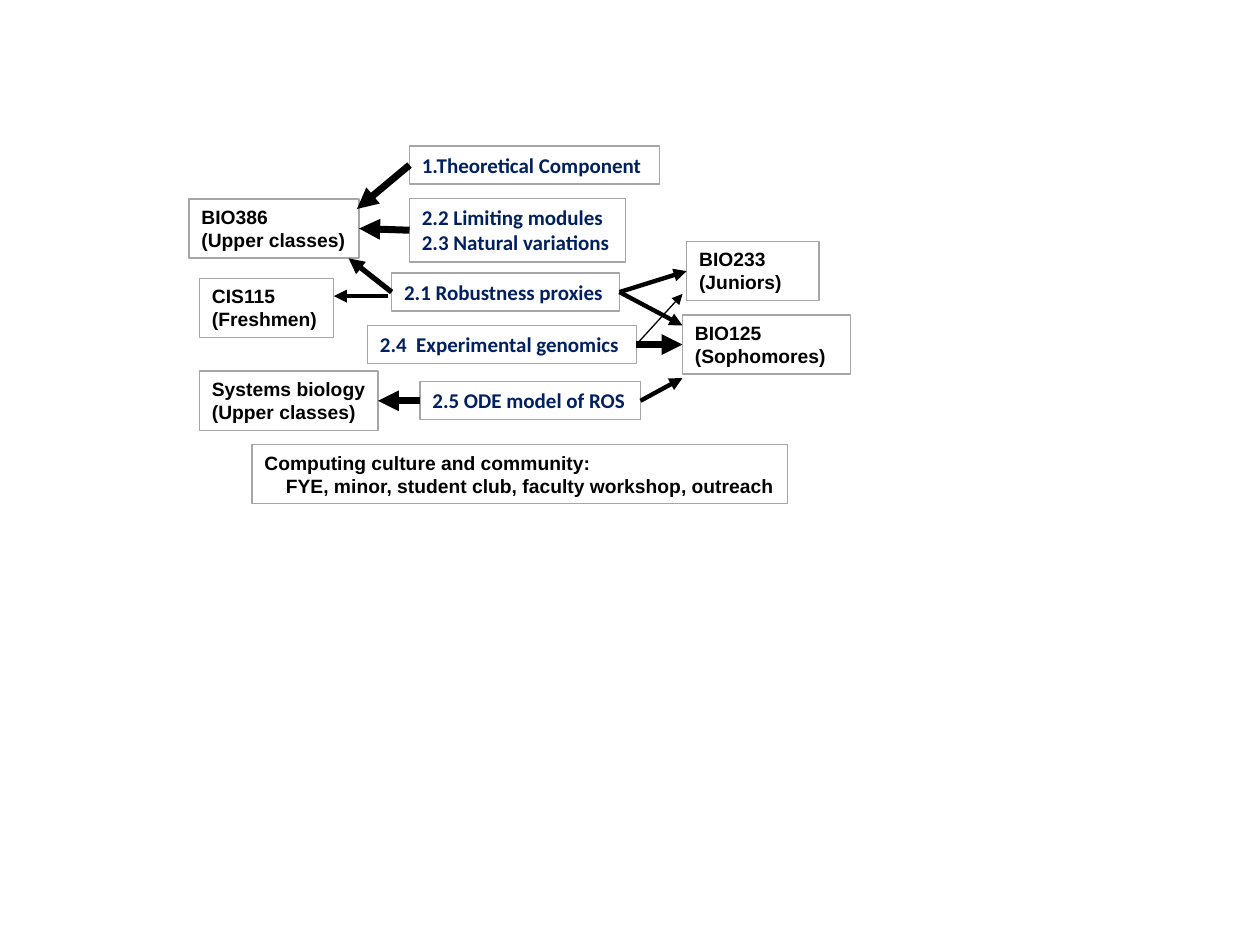
import dataclasses

import pptx
import pptx.dml.color
import pptx.enum.shapes
import pptx.enum.text
import pptx.oxml
import pptx.oxml.ns
import pptx.util


@dataclasses.dataclass(frozen=True)
class Theme:
    component_font: str = "Calibri"
    component_size: float = 12
    component_color: str = "002060"
    course_font: str = "Arial"
    course_size: float = 11
    ink: str = "000000"
    border: str = "A6A6A6"
    border_width: float = 0.75
    thin: float = 0.75
    medium: float = 2.5
    strong: float = 3
    heavy: float = 4


@dataclasses.dataclass(frozen=True)
class Box:
    col: float
    row: float
    cols: float
    rows: float

    @property
    def left(self):
        return self.col, self.row + self.rows / 2

    @property
    def right(self):
        return self.col + self.cols, self.row + self.rows / 2


class CurriculumMap:
    """Draws on a grid of 120 columns by 90 rows."""
    COURSE_ROWS = 5.64
    LINE_ROWS = 2.42
    PADDING_ROWS = 1.22

    def __init__(self, slide, theme, slide_width):
        self.slide = slide
        self.theme = theme
        self.cell = slide_width / 120

    def grid(self, *counts):
        return [pptx.util.Emu(round(count * self.cell)) for count in counts]

    def color(self, value):
        return pptx.dml.color.RGBColor.from_string(value)

    def box(self, area, lines, font, size, color, wrap, indent=0):
        """Bordered text; indent, in columns, applies after the first line."""
        label = self.slide.shapes.add_textbox(
            *self.grid(area.col, area.row, area.cols, area.rows))
        label.line.color.rgb = self.color(self.theme.border)
        label.line.width = pptx.util.Pt(self.theme.border_width)
        frame = label.text_frame
        frame.word_wrap = wrap
        frame.auto_size = pptx.enum.text.MSO_AUTO_SIZE.SHAPE_TO_FIT_TEXT
        frame.text = "\n".join(lines)
        for paragraph in frame.paragraphs:
            paragraph.font.name = font
            paragraph.font.size = pptx.util.Pt(size)
            paragraph.font.bold = True
            paragraph.font.color.rgb = self.color(color)
        if indent:
            for paragraph in frame.paragraphs[1:]:
                properties = paragraph._p.get_or_add_pPr()
                properties.set("marL", str(self.grid(indent)[0]))
                properties.set("indent", "0")
        return area

    def component(self, col, row, cols, *lines):
        rows = self.PADDING_ROWS + self.LINE_ROWS * len(lines)
        theme = self.theme
        return self.box(Box(col, row, cols, rows), lines, theme.component_font,
                        theme.component_size, theme.component_color, False)

    def course(self, col, row, cols, *lines, indent=0):
        theme = self.theme
        return self.box(Box(col, row, cols, self.COURSE_ROWS), lines, theme.course_font,
                        theme.course_size, theme.ink, True, indent)

    def arrow(self, start, end, width):
        link = self.slide.shapes.add_connector(
            pptx.enum.shapes.MSO_CONNECTOR.STRAIGHT, *self.grid(*start, *end))
        link.line.color.rgb = self.color(self.theme.ink)
        link.line.width = pptx.util.Pt(width)
        tail = pptx.oxml.parse_xml(
            f'<a:tailEnd {pptx.oxml.ns.nsdecls("a")} type="triangle"/>')
        link.line._get_or_add_ln().append(tail)
        link._element.spPr.append(
            pptx.oxml.parse_xml(f'<a:effectLst {pptx.oxml.ns.nsdecls("a")}/>'))


def main():
    deck = pptx.Presentation()
    deck.slide_width = pptx.util.Inches(10)
    deck.slide_height = pptx.util.Inches(7.5)
    theme = Theme()
    chart = CurriculumMap(deck.slides.add_slide(deck.slide_layouts[6]),
                          theme, deck.slide_width)

    theory = chart.component(39, 13.9, 23.8, "1.Theoretical Component")
    modules = chart.component(39, 18.9, 20.6,
                              "2.2 Limiting modules", "2.3 Natural variations")
    proxies = chart.component(37.3, 26, 21.7, "2.1 Robustness proxies")
    genomics = chart.component(35, 31, 25.6, "2.4  Experimental genomics")
    ode_model = chart.component(40, 36.35, 21, "2.5 ODE model of ROS")

    bio386 = chart.course(18, 18.95, 16.2, "BIO386", "(Upper classes)")
    chart.course(19, 26.5, 12.8, "CIS115", "(Freshmen)")
    systems = chart.course(19, 35.35, 17, "Systems biology", "(Upper classes)")
    bio233 = chart.course(65.4, 23, 12.6, "BIO233", "(Juniors)")
    bio125 = chart.course(65, 30, 16, "BIO125", "(Sophomores)")
    chart.course(24, 42.35, 51, "Computing culture and community:",
                 "FYE, minor, student club, faculty workshop, outreach", indent=2.04)

    for start, end, width in (
        (theory.left, (34, 19.9), theme.heavy),
        (modules.left, bio386.right, theme.heavy),
        (proxies.left, (33.2, 24.6), theme.strong),
        ((37, 28.2), (31.8, 28.2), theme.medium),
        (proxies.right, bio233.left, theme.medium),
        (proxies.right, (65, 31), theme.medium),
        (genomics.right, (65, 28), theme.thin),
        (genomics.right, bio125.left, theme.heavy),
        (ode_model.left, systems.right, theme.heavy),
        (ode_model.right, (65, 36), theme.medium),
    ):
        chart.arrow(start, end, width)

    deck.save("out.pptx")


if __name__ == "__main__":
    main()
